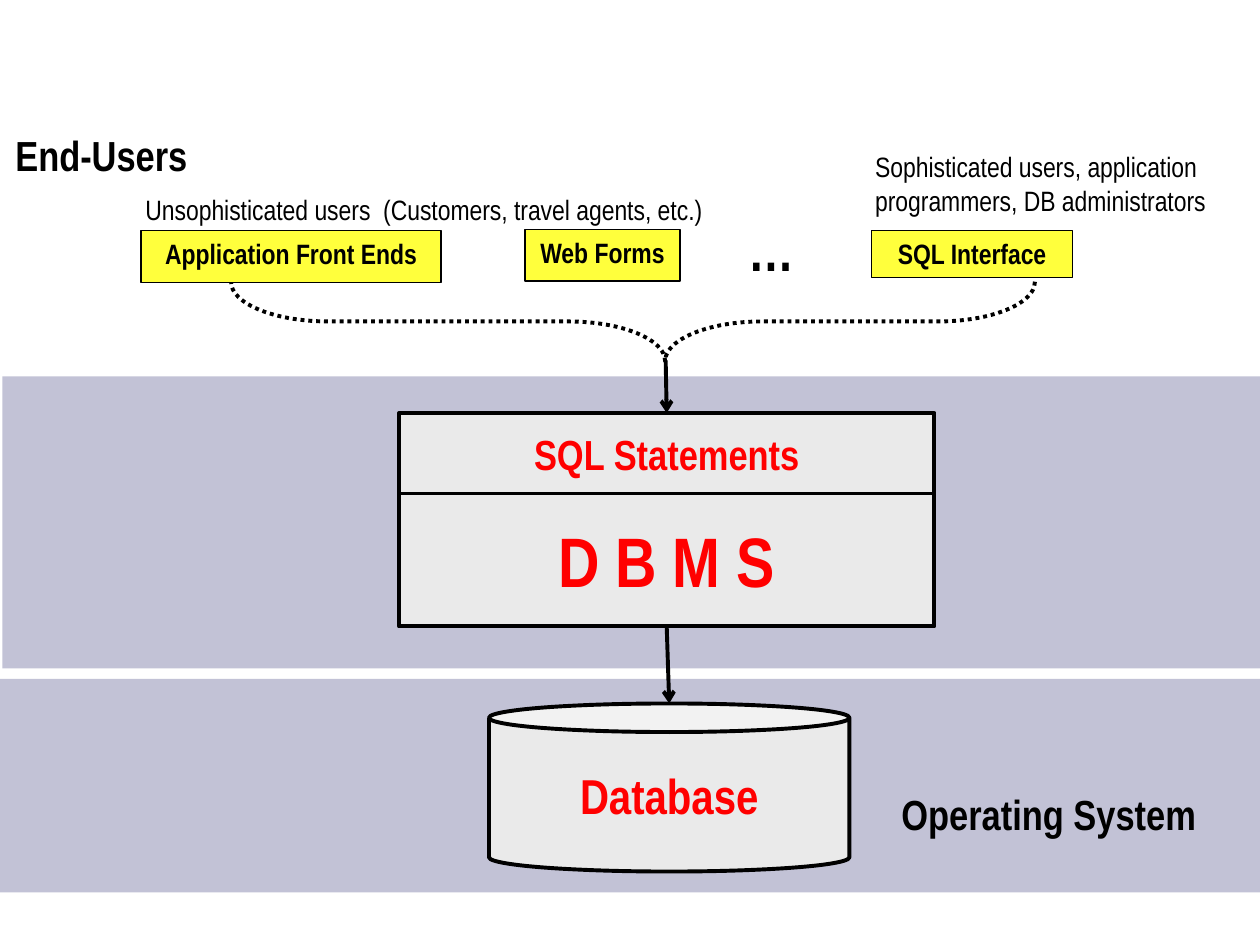
from lxml import etree
from pptx import Presentation
from pptx.dml.color import RGBColor
from pptx.enum import dml, shapes, text
from pptx.oxml import ns
from pptx.util import Pt

BLACK = RGBColor(0x00, 0x00, 0x00)
RED = RGBColor(0xFF, 0x00, 0x00)
LAVENDER = RGBColor(0xC2, 0xC2, 0xD6)
GREY = RGBColor(0xEA, 0xEA, 0xEA)
YELLOW = RGBColor(0xFF, 0xFF, 0x3C)

FONT = "Arial Narrow"
KIND = shapes.MSO_SHAPE
TOP, MIDDLE = text.MSO_ANCHOR.TOP, text.MSO_ANCHOR.MIDDLE
LEFT, CENTER = text.PP_ALIGN.LEFT, text.PP_ALIGN.CENTER


def write(box, words, size, color=BLACK, bold=True, align=CENTER, anchor=TOP):
    frame = box.text_frame
    frame.word_wrap = True
    frame.vertical_anchor = anchor
    frame.text = words
    para = frame.paragraphs[0]
    para.alignment = align
    font = para.runs[0].font
    font.name, font.size, font.bold = FONT, Pt(size), bold
    font.color.rgb = color


def add_block(page, kind, place, fill=None, line_width=None):
    """Add a shape at (left, top, width, height) in points."""
    block = page.shapes.add_shape(kind, *map(Pt, place))
    block.shadow.inherit = False
    if fill is None:
        block.fill.background()
    else:
        block.fill.solid()
        block.fill.fore_color.rgb = fill
    if line_width is None:
        block.line.fill.background()
    else:
        block.line.color.rgb = BLACK
        block.line.width = Pt(line_width)
    return block


def add_system_part(page, kind, place, words, size):
    part = add_block(page, kind, place, GREY, 2.25)
    write(part, words, size, RED, anchor=MIDDLE)
    return part


def add_label(page, place, words, size, **style):
    write(page.shapes.add_textbox(*map(Pt, place)), words, size, **style)


def add_arrow(page, start, end):
    arrow = page.shapes.add_connector(
        shapes.MSO_CONNECTOR.STRAIGHT, *map(Pt, start + end))
    arrow.line.color.rgb = BLACK
    arrow.line.width = Pt(2.25)
    properties = arrow._element.spPr
    outline = properties.find(ns.qn("a:ln"))
    etree.SubElement(outline, ns.qn("a:tailEnd"), type="arrow")
    etree.SubElement(properties, ns.qn("a:effectLst"))
    return arrow


def main():
    deck = Presentation()
    deck.slide_width, deck.slide_height = Pt(720), Pt(540)
    page = deck.slides.add_slide(deck.slide_layouts[6])

    # Background bands: DBMS layer and operating system
    for place in ((1.4, 215, 720, 167), (0, 388, 720, 122)):
        add_block(page, KIND.RECTANGLE, place, LAVENDER)

    # DBMS with its SQL layer, and the database below
    dbms = add_system_part(
        page, KIND.RECTANGLE, (228, 282, 306, 76), "D B M S", 40)
    statements = add_system_part(
        page, KIND.RECTANGLE, (228, 236, 306, 46), "SQL Statements", 24)
    database = add_system_part(
        page, KIND.CAN, (279.4, 402, 206, 96), "Database", 28)
    database.adjustments[0] = 0.17

    # Headings and user groups
    add_label(page, (488, 447, 222.5, 40), "Operating System", 24)
    add_label(page, (-25, 70.6, 166, 47), "End-Users", 24)
    add_label(page, (76, 106.6, 362, 40),
              "Unsophisticated users  (Customers, travel agents, etc.)",
              16, bold=False, align=LEFT)
    add_label(page, (493, 82, 204, 40),
              "Sophisticated users, application programmers, "
              "DB administrators", 16, bold=False, align=LEFT)

    # Dotted brace gathering the interfaces
    brace = add_block(page, KIND.RIGHT_BRACE, (339, -46, 45.4, 459.4),
                      line_width=2.25)
    brace.rotation = 90
    brace.adjustments[0] = 1.22
    brace.adjustments[1] = 0.46
    brace.line.dash_style = dml.MSO_LINE.ROUND_DOT

    # Interfaces
    for words, place in (
        ("Application Front Ends", (80.6, 131.6, 171.4, 30)),
        ("Web Forms", (300, 131, 88.6, 29.6)),
        ("SQL Interface", (498, 131.6, 115, 27)),
    ):
        write(add_block(page, KIND.RECTANGLE, place, YELLOW, 0.75), words, 16)
    add_label(page, (417.6, 119.5, 46, 55.5), "…", 32)

    # Flow from the interfaces through the DBMS to the database
    query = add_arrow(page, (380.4, 206), (381, 236))
    query.end_connect(statements, 0)
    access = add_arrow(page, (381, 358), (382.4, 402))
    access.begin_connect(dbms, 2)

    deck.save("out.pptx")


if __name__ == "__main__":
    main()
